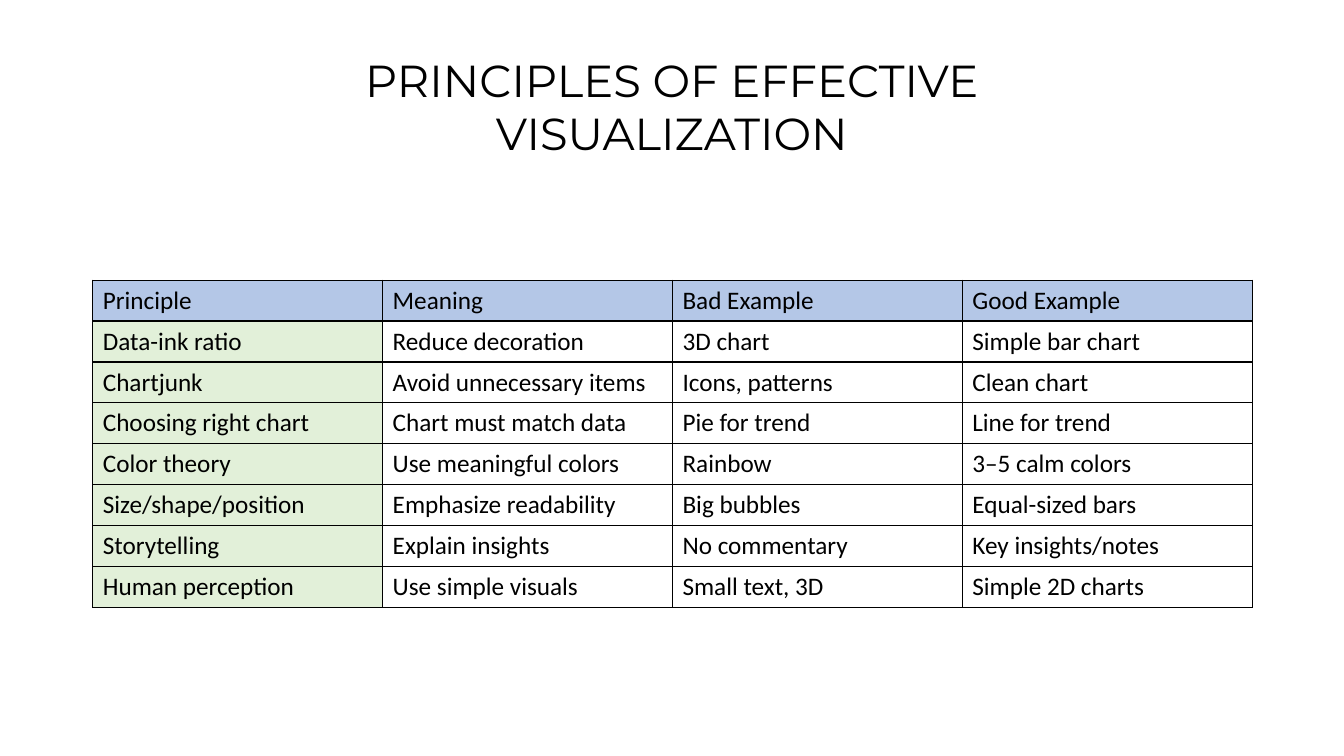
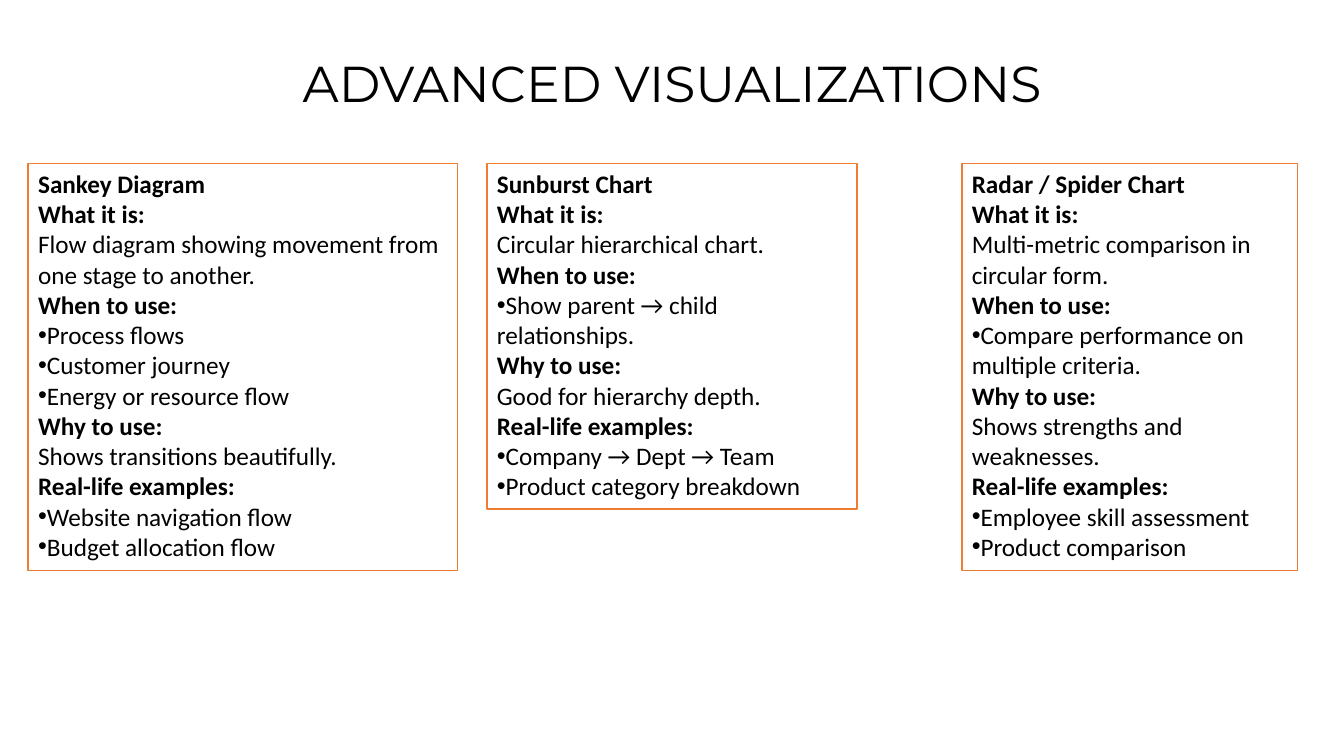
"""Build two slides on data visualization: a principles table and three chart cards."""
from lxml.etree import SubElement
from pptx import Presentation
from pptx.dml.color import RGBColor as Color
from pptx.enum.text import MSO_ANCHOR as Anchor, MSO_AUTO_SIZE as AutoSize, PP_ALIGN as Align
from pptx.oxml import parse_xml
from pptx.oxml.ns import nsdecls, qn
from pptx.util import Inches, Pt

COLORS = {
    "text": "000000",
    "paper": "FFFFFF",
    "header": "B4C7E7",
    "principle": "E2F0D9",
    "border": "000000",
    "card": "ED7D31",
}
TITLE_FONT = {"name": "Montserrat", "bold": False}
BODY_FONT = {"name": "Calibri", "size": Pt(18), "bold": False}
HEADING_FONT = BODY_FONT | {"bold": True}
FRAME = {"word_wrap": True, "auto_size": AutoSize.SHAPE_TO_FIT_TEXT}

PRINCIPLES = [
    ("Principle", "Meaning", "Bad Example", "Good Example"),
    ("Data-ink ratio", "Reduce decoration", "3D chart", "Simple bar chart"),
    ("Chartjunk", "Avoid unnecessary items", "Icons, patterns", "Clean chart"),
    ("Choosing right chart", "Chart must match data", "Pie for trend", "Line for trend"),
    ("Color theory", "Use meaningful colors", "Rainbow", "3–5 calm colors"),
    ("Size/shape/position", "Emphasize readability", "Big bubbles", "Equal-sized bars"),
    ("Storytelling", "Explain insights", "No commentary", "Key insights/notes"),
    ("Human perception", "Use simple visuals", "Small text, 3D", "Simple 2D charts"),
]

SECTIONS = [
    ("What it is:", False),
    ("When to use:", True),
    ("Why to use:", False),
    ("Real-life examples:", True),
]
CARD_TOP = 1.62
CARDS = [
    (0.28, 4.26, 4.04, "Sankey Diagram", [
        ["Flow diagram showing movement from one stage to another."],
        ["Process flows", "Customer journey", "Energy or resource flow"],
        ["Shows transitions beautifully."],
        ["Website navigation flow", "Budget allocation flow"],
    ]),
    (4.83, 3.67, 3.43, "Sunburst Chart", [
        ["Circular hierarchical chart."],
        ["Show parent → child relationships."],
        ["Good for hierarchy depth."],
        ["Company → Dept → Team", "Product category breakdown"],
    ]),
    (9.54, 3.33, 4.04, "Radar / Spider Chart", [
        ["Multi-metric comparison in circular form."],
        ["Compare performance on multiple criteria."],
        ["Shows strengths and weaknesses."],
        ["Employee skill assessment", "Product comparison"],
    ]),
]


def color(key):
    """Return the named palette colour."""
    return Color.from_string(COLORS[key])


def set_attributes(target, values):
    """Set each named attribute of the target."""
    for name, value in values.items():
        setattr(target, name, value)


def write(para, text, font):
    """Put one formatted run of text into the paragraph."""
    span = para.add_run()
    span.text = text
    set_attributes(span.font, font)
    span.font.color.rgb = color("text")


def add_bullet(para):
    """Give the paragraph a round bullet without indent."""
    properties = para._p.get_or_add_pPr()
    properties.set("marL", "0")
    properties.set("indent", "0")
    SubElement(properties, qn("a:buFont"), typeface="Arial")
    SubElement(properties, qn("a:buChar"), char="•")


def add_box(page, left, top, width, height):
    """Add a white text box that wraps and fits its text."""
    box = page.shapes.add_textbox(*map(Inches, (left, top, width, height)))
    box.fill.solid()
    box.fill.fore_color.rgb = color("paper")
    set_attributes(box.text_frame, FRAME)
    return box


def add_title(page, text, width, height, size):
    """Add the centred slide title."""
    box = add_box(page, (13.33 - width) / 2, 0.47, width, height)
    para = box.text_frame.paragraphs[0]
    para.alignment = Align.CENTER
    write(para, text, TITLE_FONT | {"size": Pt(size)})


def add_borders(cell):
    """Draw a thin line on all four sides of the cell."""
    properties = cell._tc.get_or_add_tcPr()
    for index, side in enumerate(("lnL", "lnR", "lnT", "lnB")):
        properties.insert(index, parse_xml(
            f'<a:{side} {nsdecls("a")} w="{Pt(1)}"><a:solidFill>'
            f'<a:srgbClr val="{COLORS["border"]}"/></a:solidFill></a:{side}>'))


def fill_cell(cell, text, fill):
    """Write, fill and frame one table cell."""
    cell.vertical_anchor = Anchor.MIDDLE
    write(cell.text_frame.paragraphs[0], text, BODY_FONT)
    if fill:
        cell.fill.solid()
        cell.fill.fore_color.rgb = color(fill)
    else:
        cell.fill.background()
    add_borders(cell)


def add_principles_table(page):
    """Add the table with a coloured header row and first column."""
    area = map(Inches, (0.92, 2.78, 11.5, 3.2))
    table = page.shapes.add_table(len(PRINCIPLES), len(PRINCIPLES[0]), *area).table
    set_attributes(table, {"first_row": False, "horz_banding": False})
    for row, texts in enumerate(PRINCIPLES):
        for column, text in enumerate(texts):
            fill = "header" if row == 0 else "principle" if column == 0 else None
            fill_cell(table.cell(row, column), text, fill)


def add_card(page, left, width, height, name, answers):
    """Add an outlined card that describes one chart type."""
    box = add_box(page, left, CARD_TOP, width, height)
    box.line.color.rgb = color("card")
    box.line.width = Pt(1)
    frame = box.text_frame
    write(frame.paragraphs[0], name, HEADING_FONT)
    for (heading, bulleted), lines in zip(SECTIONS, answers):
        write(frame.add_paragraph(), heading, HEADING_FONT)
        for line in lines:
            para = frame.add_paragraph()
            if bulleted:
                add_bullet(para)
            write(para, line, BODY_FONT)


def main():
    """Build and save the deck."""
    deck = Presentation()
    set_attributes(deck, {"slide_width": Inches(13.33), "slide_height": Inches(7.5)})
    blank = deck.slide_layouts[6]

    page = deck.slides.add_slide(blank)
    add_principles_table(page)
    add_title(page, "PRINCIPLES OF EFFECTIVE VISUALIZATION", 9.4, 1.18, 32)

    page = deck.slides.add_slide(blank)
    add_title(page, "ADVANCED VISUALIZATIONS", 9.8, 0.71, 36)
    for card in CARDS:
        add_card(page, *card)

    deck.save("out.pptx")


if __name__ == "__main__":
    main()
